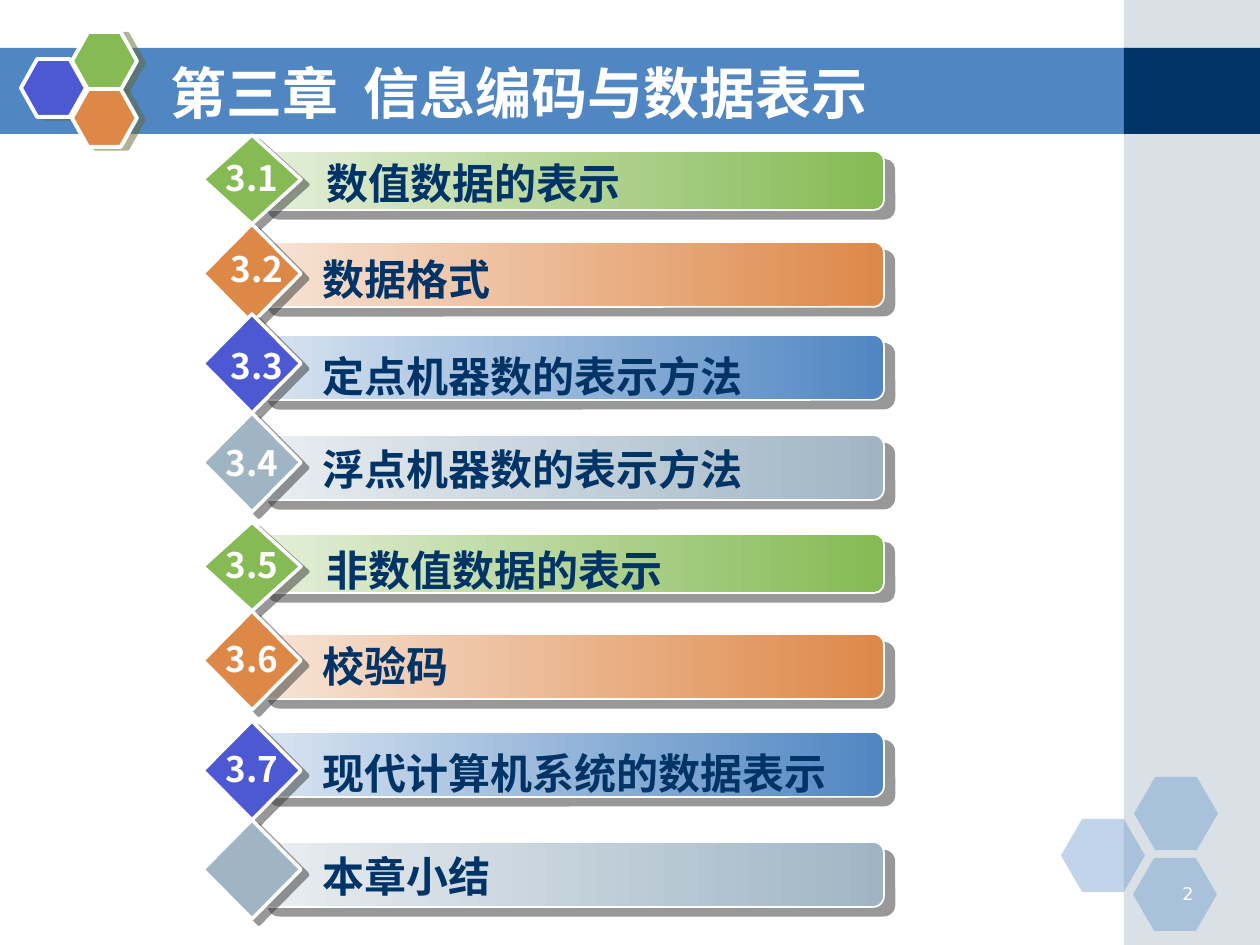
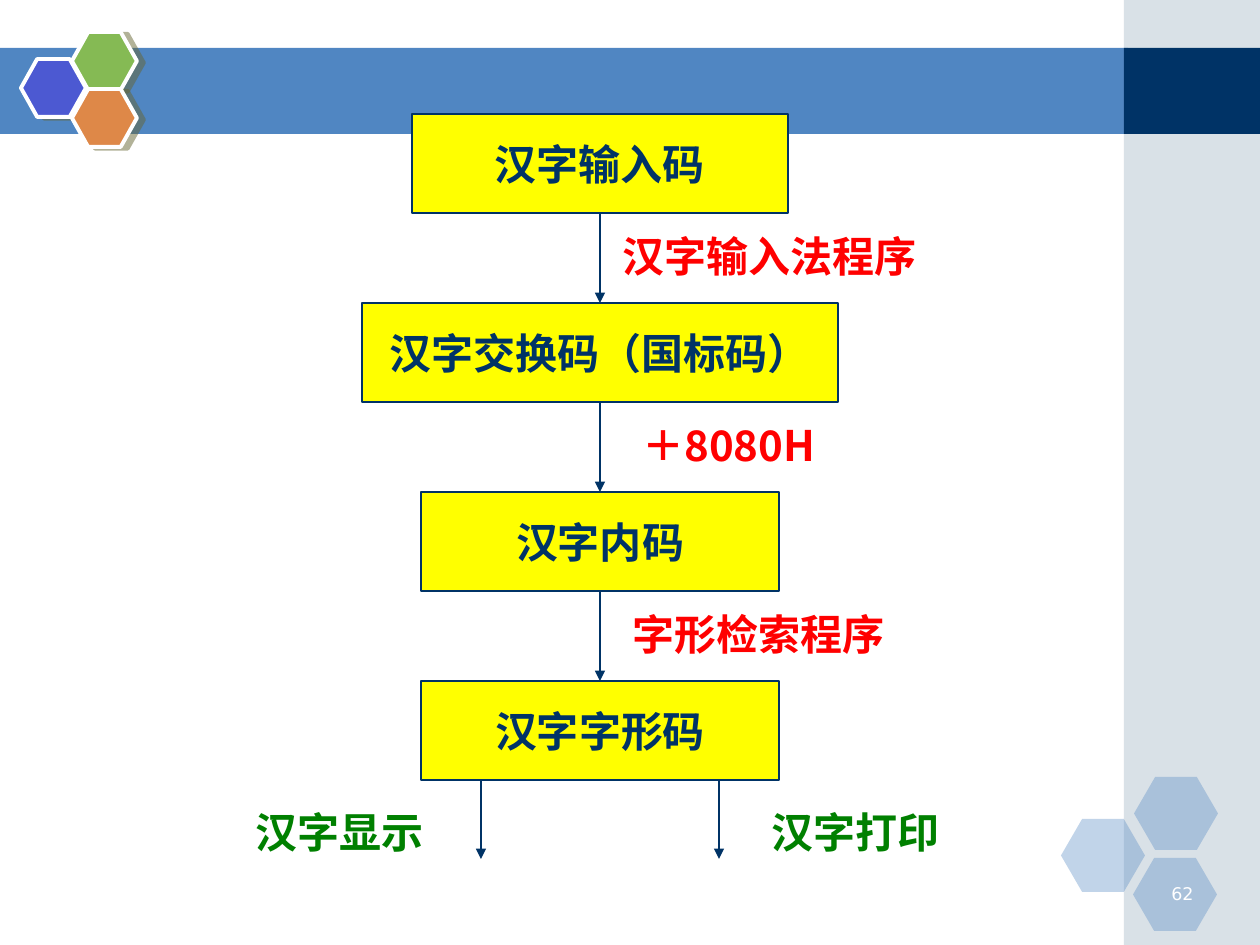
"""Build the chapter contents slide and the Chinese character code flow slide."""
from dataclasses import dataclass
from typing import Any, NamedTuple

from lxml.etree import SubElement
from pptx import Presentation
from pptx.dml.color import RGBColor
from pptx.enum.shapes import MSO_CONNECTOR, MSO_SHAPE
from pptx.enum.text import MSO_ANCHOR, MSO_AUTO_SIZE, PP_ALIGN
from pptx.oxml.ns import qn
from pptx.util import Emu, Pt

PX = 914400 / 126
CJK = "Noto Sans CJK SC"
NAVY, BLUE, VIOLET, GREEN = "003366", "5086C2", "4C59D2", "85BA54"
ORANGE, GREY, WHITE = "DE8848", "A0B5C4", "FFFFFF"
YELLOW, RED, DARK_GREEN = "FFFF00", "FF0000", "008000"


class Box(NamedTuple):
    x: int
    y: int
    w: int
    h: int


class Shadow(NamedTuple):
    color: str
    dist: float
    angle: int


class RowStyle(NamedTuple):
    dark: str
    light: str
    diamond: str


class Hexagon(NamedTuple):
    x: int
    y: int
    color: str


@dataclass
class Row:
    number: str
    label: str
    bar_y: int
    diamond_y: int
    label_y: int
    number_y: int = 0
    number_x: int = 213
    label_w: int = 475


@dataclass
class Stage:
    name: str
    w: int


@dataclass
class Note:
    text: str
    box: Box
    color: str


BAR_SHADOW = Shadow("333333", 7.8, 40)
DIAMOND_SHADOW = Shadow("333333", 5, 37)
BADGE_SHADOW = Shadow("666633", 4.1, 14)

STYLES = [
    RowStyle(GREEN, "E4EFD9", GREEN),
    RowStyle(ORANGE, "F7E4D7", ORANGE),
    RowStyle(BLUE, "D9E4F1", VIOLET),
    RowStyle(GREY, "E9EEF1", GREY),
]
ROWS = [
    Row("3.1", "数值数据的表示", 151, 135, 151, 150),
    Row("3.2", "数据格式", 242, 224, 247, 241, number_x=218),
    Row("3.3", "定点机器数的表示方法", 335, 314, 344, 338, number_x=218),
    Row("3.4", "浮点机器数的表示方法", 435, 413, 437, 435),
    Row("3.5", "非数值数据的表示", 534, 522, 538, 537),
    Row("3.6", "校验码", 634, 611, 634, 631),
    Row("3.7", "现代计算机系统的数据表示", 732, 721, 741, 741, label_w=597),
    Row("", "本章小结", 842, 820, 844),
]
CORNER_HEXAGONS = [Hexagon(x, y, BLUE) for x, y in ((1061, 819), (1134, 777), (1133, 858))]
BADGE_HEXAGONS = [Hexagon(21, 59, VIOLET), Hexagon(72, 32, GREEN), Hexagon(72, 89, ORANGE)]

AXIS_X, STAGE_Y, STAGE_H, PITCH = 600, 114, 99, 189
STAGES = [
    Stage("汉字输入码", 376),
    Stage("汉字交换码（国标码）", 476),
    Stage("汉字内码", 358),
    Stage("汉字字形码", 358),
]
STEP_NOTES = [
    Note(text, Box(x, STAGE_Y + 110 + i * PITCH, w, 63), RED)
    for i, (text, x, w) in enumerate(
        [("汉字输入法程序", 610, 338), ("＋8080H", 630, 228), ("字形检索程序", 620, 338)])
]
OUTPUT_NOTES = [
    Note("汉字显示", Box(243, 800, 208, 63), DARK_GREEN),
    Note("汉字打印", Box(759, 800, 208, 63), DARK_GREEN),
]


def px(n: float) -> Emu:
    """Convert pixels to EMU."""
    return Emu(round(n * PX))


def rgb(color: str) -> RGBColor:
    """Turn a hex string into a colour."""
    return RGBColor.from_string(color)


def write(p: Any, text: str, *, size: int = 24, color: str = NAVY, bold: bool = True,
          font: str = CJK, align: PP_ALIGN = PP_ALIGN.LEFT, spacing: int = 0) -> None:
    """Add one formatted run to a paragraph."""
    p.alignment = align
    r = p.add_run()
    r.text = text
    r.font.size, r.font.bold, r.font.name = Pt(size), bold, font
    r.font.color.rgb = rgb(color)
    rPr = r.font.element if hasattr(r.font, "element") else r._r.get_or_add_rPr()
    SubElement(rPr, qn("a:ea"), typeface=font)
    if spacing:
        rPr.set("spc", str(spacing * 100))


def add_text(s: Any, box: Box, text: str, grow: bool = True, **fmt: Any) -> None:
    """Add a wrapping text box."""
    tf = s.shapes.add_textbox(*map(px, box)).text_frame
    tf.word_wrap = True
    tf.auto_size = MSO_AUTO_SIZE.SHAPE_TO_FIT_TEXT if grow else MSO_AUTO_SIZE.NONE
    write(tf.paragraphs[0], text, **fmt)


def add_box(s: Any, kind: MSO_SHAPE, box: Box, fill: str, *, fade_from: str = "",
            alpha: int = 100, line: str = "", width: float = 1,
            shadow: Shadow | None = None) -> Any:
    """Add a preset shape with its fill, outline and shadow."""
    sp = s.shapes.add_shape(kind, *map(px, box))
    if fade_from:
        sp.fill.gradient()
        sp.fill.gradient_angle = 0
        for stop, color in zip(sp.fill.gradient_stops, (fade_from, fill)):
            stop.color.rgb = rgb(color)
    else:
        sp.fill.solid()
        sp.fill.fore_color.rgb = rgb(fill)
    spPr = sp.element.spPr
    if alpha < 100:
        SubElement(spPr.find(qn("a:solidFill"))[0], qn("a:alpha"), val=str(alpha * 1000))
    if line:
        sp.line.color.rgb = rgb(line)
        sp.line.width = Pt(width)
    else:
        sp.line.fill.background()
    sp.shadow.inherit = False
    if shadow:
        outer = SubElement(spPr.find(qn("a:effectLst")), qn("a:outerShdw"), blurRad="0",
                           dist=str(int(Pt(shadow.dist))), dir=str(shadow.angle * 60000),
                           algn="ctr", rotWithShape="0")
        clr = SubElement(outer, qn("a:srgbClr"), val=shadow.color)
        SubElement(clr, qn("a:alpha"), val="50000")
    return sp


def add_arrow(s: Any, x: int, y1: int, y2: int) -> Any:
    """Add a downward arrow."""
    c = s.shapes.add_connector(MSO_CONNECTOR.STRAIGHT, px(x), px(y1), px(x), px(y2))
    c.line.color.rgb = rgb(NAVY)
    c.line.width = Pt(0.75)
    spPr = c.element.spPr
    SubElement(spPr.find(qn("a:ln")), qn("a:tailEnd"), type="triangle")
    SubElement(spPr, qn("a:effectLst"))
    return c


def add_frame(s: Any, number: int) -> None:
    """Draw the band, side panel, hexagons and slide number."""
    add_box(s, MSO_SHAPE.RECTANGLE, Box(0, 48, 1128, 86), BLUE)
    add_box(s, MSO_SHAPE.RECTANGLE, Box(1124, 0, 136, 945), GREY, alpha=40)
    add_box(s, MSO_SHAPE.RECTANGLE, Box(1124, 48, 136, 86), NAVY)
    for x, y, color in CORNER_HEXAGONS:
        sp = add_box(s, MSO_SHAPE.HEXAGON, Box(x, y, 84, 73), color, alpha=35)
        sp.adjustments[0] = 0.29
    for x, y, color in BADGE_HEXAGONS:
        sp = add_box(s, MSO_SHAPE.HEXAGON, Box(x, y, 65, 58), color, line=WHITE,
                     width=2.25, shadow=BADGE_SHADOW)
        sp.adjustments[0] = 0.28
    add_text(s, Box(1143, 877, 63, 32), str(number), grow=False, size=10, color=WHITE,
             bold=False, font="DejaVu Sans", align=PP_ALIGN.RIGHT)


def add_title(s: Any, chapter: str, name: str) -> None:
    """Fill the title placeholder and bring it in front of the band."""
    sp = s.shapes.title
    sp.left, sp.top, sp.width, sp.height = map(px, Box(158, 53, 924, 78))
    tf = sp.text_frame
    tf.auto_size, tf.vertical_anchor = MSO_AUTO_SIZE.NONE, MSO_ANCHOR.MIDDLE
    for text, spacing in ((chapter, 0), (" ", 7), (name, 0)):
        write(tf.paragraphs[0], text, size=32, color=WHITE, spacing=spacing)
    sp.element.getparent().append(sp.element)


def add_contents(s: Any) -> None:
    """Draw the section rows."""
    for i, row in enumerate(ROWS):
        style = STYLES[i % len(STYLES)]
        short = style.dark == GREEN
        add_box(s, MSO_SHAPE.ROUNDED_RECTANGLE, Box(258, row.bar_y, 626, 59 if short else 65),
                style.dark, fade_from=style.light, line=WHITE, shadow=BAR_SHADOW)
        add_box(s, MSO_SHAPE.DIAMOND, Box(203, row.diamond_y, 98, 89 if short else 99),
                style.diamond, line=WHITE, width=2, shadow=DIAMOND_SHADOW)
        add_text(s, Box(314 if short else 310, row.label_y, row.label_w, 63), row.label)
        if row.number:
            add_text(s, Box(row.number_x, row.number_y, 90, 55), row.number,
                     size=20, color=WHITE)


def add_flow(s: Any) -> None:
    """Draw the code stages, their arrows and notes."""
    boxes = []
    for i, stage in enumerate(STAGES):
        box = Box(AXIS_X - stage.w // 2, STAGE_Y + i * PITCH, stage.w, STAGE_H)
        sp = add_box(s, MSO_SHAPE.RECTANGLE, box, YELLOW, line=NAVY, width=0.75)
        tf = sp.text_frame
        tf.word_wrap, tf.vertical_anchor = False, MSO_ANCHOR.MIDDLE
        write(tf.paragraphs[0], stage.name, align=PP_ALIGN.CENTER)
        boxes.append(sp)
    for i, (upper, lower) in enumerate(zip(boxes, boxes[1:])):
        y = STAGE_Y + i * PITCH
        c = add_arrow(s, AXIS_X, y + STAGE_H, y + PITCH)
        c.begin_connect(upper, 2)
        c.end_connect(lower, 0)
    for x in (AXIS_X - 119, AXIS_X + 119):
        add_arrow(s, x, 780, 859)
    for note in STEP_NOTES + OUTPUT_NOTES:
        add_text(s, note.box, note.text, color=note.color)


def main() -> None:
    """Build and save the presentation."""
    prs = Presentation()
    prs.slide_width, prs.slide_height = px(1260), px(945)
    s = prs.slides.add_slide(prs.slide_layouts[5])
    add_frame(s, 2)
    add_title(s, "第三章", "信息编码与数据表示")
    add_contents(s)
    s = prs.slides.add_slide(prs.slide_layouts[6])
    add_frame(s, 62)
    add_flow(s)
    prs.save("out.pptx")


if __name__ == "__main__":
    main()
